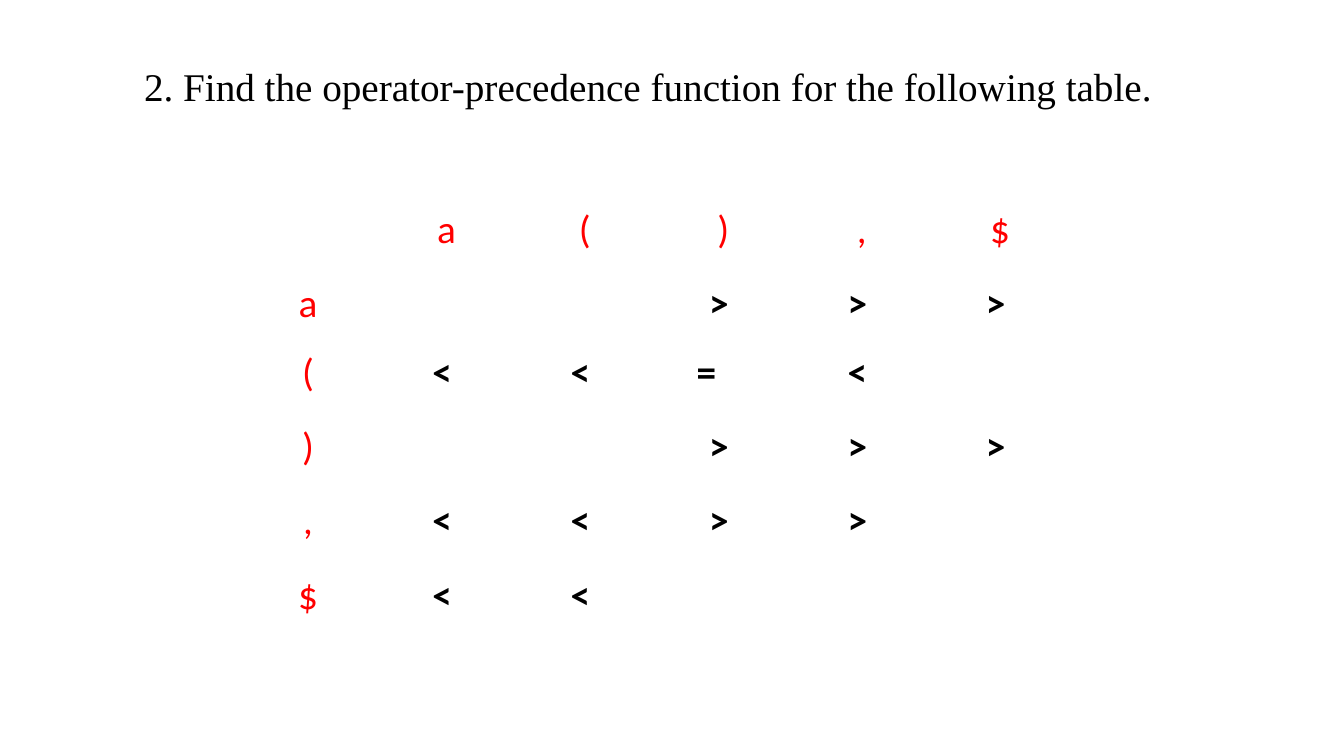
from pptx import Presentation
from pptx.dml.color import RGBColor
from pptx.enum.text import MSO_ANCHOR, PP_ALIGN
from pptx.util import Pt

QUESTION = "2. Find the operator-precedence function for the following table."
SYMBOLS = ["a", "(", ")", ",", "$"]
RELATIONS = [
    ["", "", ">", ">", ">"],
    ["<", "<", "=", "<", ""],
    ["", "", ">", ">", ">"],
    ["<", "<", ">", ">", ""],
    ["<", "<", "", "", ""],
]
GRID = [["", *SYMBOLS]] + [[symbol, *row] for symbol, row in zip(SYMBOLS, RELATIONS)]

BLACK, RED = "000000", "FF0000"
TABLE_LEFT, TABLE_TOP = 170.6, 128.2
COLUMN_WIDTH = 98.9
ROW_HEIGHTS = [53.1, 53.1, 49, 53.1, 53.1, 53.1]
CELL_MARGIN = 5.1
RELATION_SHIFT = 6.3
EQUALS_INDENT = 25.3


def set_font(paragraph, name, color, bold=False):
    font = paragraph.font
    font.name, font.size, font.bold = name, Pt(28), bold
    font.color.rgb = RGBColor.from_string(color)


def fill_cell(cell, entry, is_symbol):
    """Symbols are red and centred; relations are bold and sit a little left."""
    cell.fill.background()
    cell.vertical_anchor = MSO_ANCHOR.BOTTOM
    is_equals = entry == "="
    cell.margin_top = cell.margin_bottom = Pt(0)
    cell.margin_left = Pt(CELL_MARGIN + (EQUALS_INDENT if is_equals else 0))
    cell.margin_right = Pt(CELL_MARGIN + (0 if is_symbol or is_equals else RELATION_SHIFT))
    cell.text = entry
    paragraph = cell.text_frame.paragraphs[0]
    paragraph.alignment = PP_ALIGN.LEFT if is_equals else PP_ALIGN.CENTER
    paragraph.line_spacing = 1.07
    set_font(paragraph, "Calibri", RED if is_symbol else BLACK, bold=not is_symbol)


presentation = Presentation()
presentation.slide_width, presentation.slide_height = Pt(960), Pt(540)
slide = presentation.slides.add_slide(presentation.slide_layouts[6])

precedence = slide.shapes.add_table(
    len(GRID), len(GRID[0]), Pt(TABLE_LEFT), Pt(TABLE_TOP),
    Pt(COLUMN_WIDTH * len(GRID[0])), Pt(sum(ROW_HEIGHTS))).table
for column in precedence.columns:
    column.width = Pt(COLUMN_WIDTH)
for row, height in zip(precedence.rows, ROW_HEIGHTS):
    row.height = Pt(height)
for i, entries in enumerate(GRID):
    for j, entry in enumerate(entries):
        fill_cell(precedence.cell(i, j), entry, is_symbol=i == 0 or j == 0)

question = slide.shapes.add_textbox(Pt(95.8), Pt(41), Pt(751.7), Pt(41)).text_frame
question.word_wrap = True
question.text = QUESTION
set_font(question.paragraphs[0], "Times New Roman", BLACK)

presentation.save("out.pptx")
